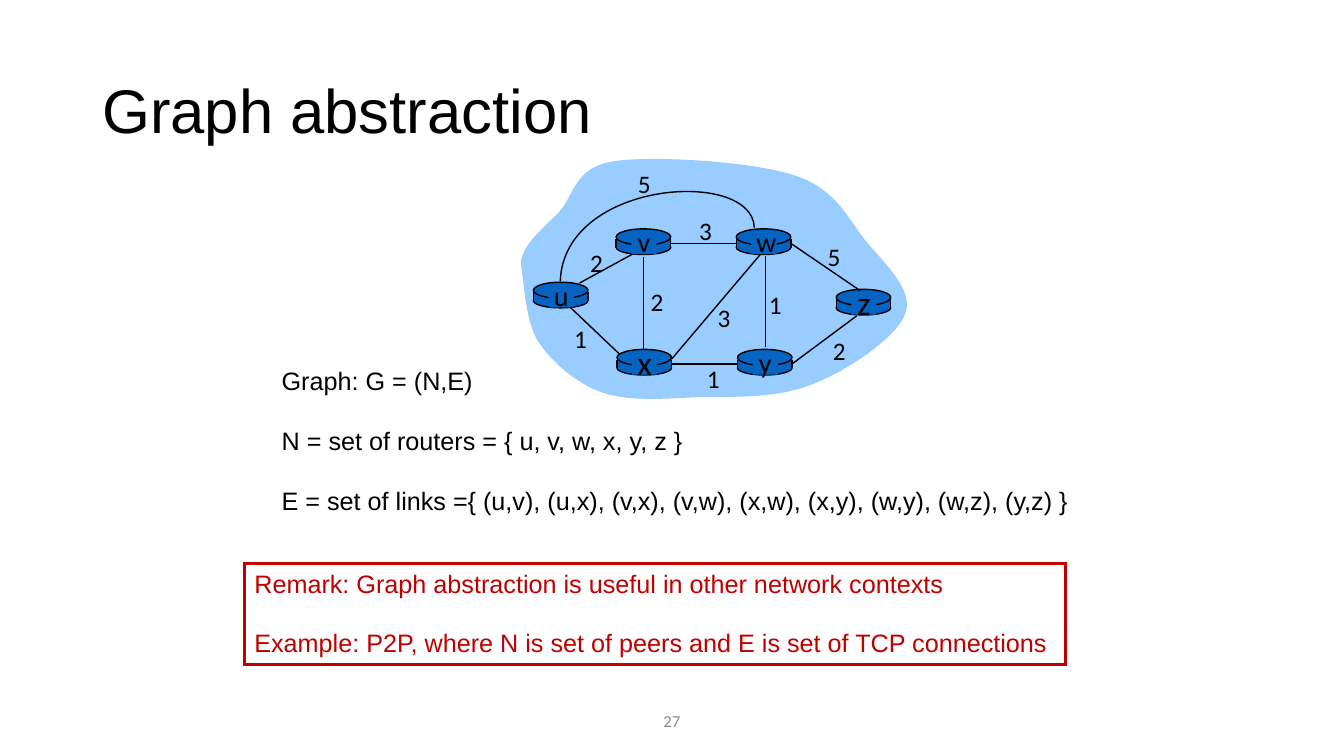
from lxml import etree
from pptx import Presentation
from pptx import util as u
from pptx.dml import color
from pptx.enum import shapes, text
from pptx.oxml import ns


class Theme:
    ink = color.RGBColor.from_string("000000")
    router = color.RGBColor.from_string("0563C1")
    cloud = color.RGBColor.from_string("99CCFF")
    remark = color.RGBColor.from_string("C00000")
    footer = color.RGBColor.from_string("8C8C8C")
    prose, label = "Arial", "Calibri"
    title_size, large_node, node_size, body_size, footer_size = 44, 24, 20, 18, 12
    thin, frame = 1, 2.25
    remark_gap, body_gap = 20.7, 21.4


deck = Presentation()
deck.slide_width, deck.slide_height = u.Inches(13.3333), u.Inches(7.5)
slide = deck.slides.add_slide(deck.slide_layouts[6])
canvas = slide.shapes
col, row = deck.slide_width / 160, deck.slide_height / 90
oval, block = shapes.MSO_SHAPE.OVAL, shapes.MSO_SHAPE.RECTANGLE
straight = shapes.MSO_CONNECTOR.STRAIGHT


def paint(item, fill=None, line=None, width=Theme.thin):
    if line is None:
        item.line.fill.background()
    else:
        item.line.color.rgb = line
        item.line.width = u.Pt(width)
    if item.shape_type == shapes.MSO_SHAPE_TYPE.LINE:
        etree.SubElement(item.element.spPr, ns.qn("a:effectLst"))
        return
    item.shadow.inherit = False
    if fill is None:
        item.fill.background()
    else:
        item.fill.solid()
        item.fill.fore_color.rgb = fill


def write(words, left, top, width, height, size=Theme.body_size, font=Theme.prose,
          ink=Theme.ink, align=text.PP_ALIGN.LEFT, anchor=text.MSO_ANCHOR.MIDDLE,
          wrap=True, spacing=1.0, gap=Theme.body_gap, frame=None):
    place = [round(length) for length in (left * col, top * row, width * col, height * row)]
    box = canvas.add_shape(block, *place) if frame else canvas.add_textbox(*place)
    paint(box, line=frame, width=Theme.frame)
    if frame:
        etree.SubElement(box.element.spPr.find(ns.qn("a:ln")), ns.qn("a:miter"), lim="800000")
    body = box.text_frame
    body.word_wrap, body.vertical_anchor = wrap, anchor
    for index, line in enumerate(words.split("\n")):
        paragraph = body.paragraphs[0] if index == 0 else body.add_paragraph()
        paragraph.alignment, paragraph.line_spacing = align, spacing
        if index:
            paragraph.space_before = u.Pt(gap)
        run = paragraph.add_run()
        run.text = line
        run.font.size, run.font.name, run.font.color.rgb = u.Pt(size), font, ink


write("27", 53, 83.4, 54, 4.8, size=Theme.footer_size, font=Theme.label,
      ink=Theme.footer, align=text.PP_ALIGN.CENTER)

cloud_outline = [
    (62, 31.4), (62.2, 29), (64.7, 27.2), (66.6, 25.2),
    (68.4, 23.2), (68.4, 19.9), (73.1, 19.2),
    (77.6, 18.5), (89.3, 19.2), (94.3, 20.8),
    (99.4, 22.3), (100.8, 25.8), (103, 28.6),
    (105.2, 31.3), (108.8, 34.4), (107.8, 37.3),
    (106.8, 40.2), (100.8, 44.2), (96.6, 45.8),
    (92.4, 47.5), (86.9, 47.2), (82.7, 47.3),
    (78.6, 47.5), (74.8, 47.8), (71.6, 46.7),
    (68.6, 45.6), (65.8, 43.2), (64.1, 40.7),
    (62.5, 38.2), (62.4, 33.4), (62, 31.4)]
link_u_w = [(89.8, 27.1), (89.6, 20), (67.1, 21.4), (66.7, 33.5)]

for outline, closed, fill, line in ((cloud_outline, True, Theme.cloud, None),
                                    (link_u_w, False, None, Theme.ink)):
    points = [(round(x * col), round(y * row)) for x, y in outline]
    builder = canvas.build_freeform(*points[0])
    builder.add_line_segments(points[1:], close=closed)
    curve = builder.convert_to_shape()
    segments = list(curve.element.iter(ns.qn("a:lnTo")))
    for start in range(0, len(outline) - 1, 3):
        bezier = etree.Element(ns.qn("a:cubicBezTo"))
        segments[start].addprevious(bezier)
        for segment in segments[start:start + 3]:
            bezier.append(segment[0])
            segment.getparent().remove(segment)
    paint(curve, fill, line)

routers = {"u": (63.5, 33.6, Theme.node_size), "x": (73.45, 41.6, Theme.large_node),
           "v": (73.35, 27.25, Theme.node_size), "w": (87.65, 27.25, Theme.node_size),
           "y": (87.8, 41.6, Theme.node_size), "z": (99.55, 34.45, Theme.large_node)}
router_width = 6.5
router_parts = ((oval, 1.35, 1.7, Theme.ink), (block, 1.2, 1.05, None),
                (oval, 0, 1.92, Theme.ink))
bodies = {}

for name, (left, top, size) in routers.items():
    for kind, drop, height, line in router_parts:
        part = canvas.add_shape(kind, round(left * col), round((top + drop) * row),
                                round(router_width * col), round(height * row))
        paint(part, Theme.router, line)
        if kind == block:
            bodies[name] = part
    for edge in (left, left + router_width):
        wall = canvas.add_connector(straight, round(edge * col), round((top + 1.2) * row),
                                    round(edge * col), round((top + 2.25) * row))
        paint(wall, line=Theme.ink)

links = [((69, 33.7), (75.4, 30.2), None, None),
         ((91.1, 30.5), (91.1, 41.3), None, None),
         ((76.6, 30.6), (76.6, 41.7), None, None),
         ((80, 42.7), (90.6, 30.2), None, None),
         ((73.7, 42.1), (67.9, 36.6), None, None),
         ((94.3, 43.2), (102, 37.6), ("y", 3), None),
         ((94.1, 28.9), (102.4, 34.6), ("w", 3), None),
         ((80, 43.4), (87.8, 43.4), ("x", 3), ("y", 1)),
         ((80, 29), (87.7, 29), ("v", 3), ("w", 1))]
for (x1, y1), (x2, y2), begin, end in links:
    link = canvas.add_connector(straight, round(x1 * col), round(y1 * row),
                                round(x2 * col), round(y2 * row))
    if begin:
        link.begin_connect(bodies[begin[0]], begin[1])
    if end:
        link.end_connect(bodies[end[0]], end[1])
    paint(link, line=Theme.ink)

for name, (left, top, size) in routers.items():
    plate = canvas.add_shape(block, round((left + 1.8) * col), round((top + 0.25) * row),
                             round(3 * col), round(2.75 * row))
    paint(plate, Theme.router)
    write(name, left + 1.2, top - 1.5, 4.2, 6, size=size, font=Theme.label,
          align=text.PP_ALIGN.CENTER, wrap=False)

costs = [("2", 71, 31.3), ("2", 78.2, 35.9), ("1", 69.1, 40.3), ("3", 86.2, 37.8),
         ("1", 84.9, 45.1), ("1", 92.3, 36.2), ("2", 99.9, 41.7), ("5", 99.3, 30.5),
         ("3", 84.0, 27.4), ("5", 76.7, 21.8)]
for cost, x, y in costs:
    write(cost, x - 2, y - 2.4, 4, 4.8, font=Theme.label,
          align=text.PP_ALIGN.CENTER, wrap=False)

write("Graph: G = (N,E)\nN = set of routers = { u, v, w, x, y, z }\n"
      "E = set of links ={ (u,v), (u,x), (v,x), (v,w), (x,w), (x,y), (w,y), (w,z), (y,z) }",
      32.35, 42.85, 97.1, 19.2, anchor=text.MSO_ANCHOR.TOP)
write("Graph abstraction", 11, 4.8, 138, 17.4, size=Theme.title_size, spacing=0.9)
write("Remark: Graph abstraction is useful in other network contexts\n"
      "Example: P2P, where N is set of peers and E is set of TCP connections",
      29.1, 67.05, 97.8, 12.1, ink=Theme.remark, anchor=text.MSO_ANCHOR.TOP,
      gap=Theme.remark_gap, frame=Theme.remark)

deck.save("out.pptx")
